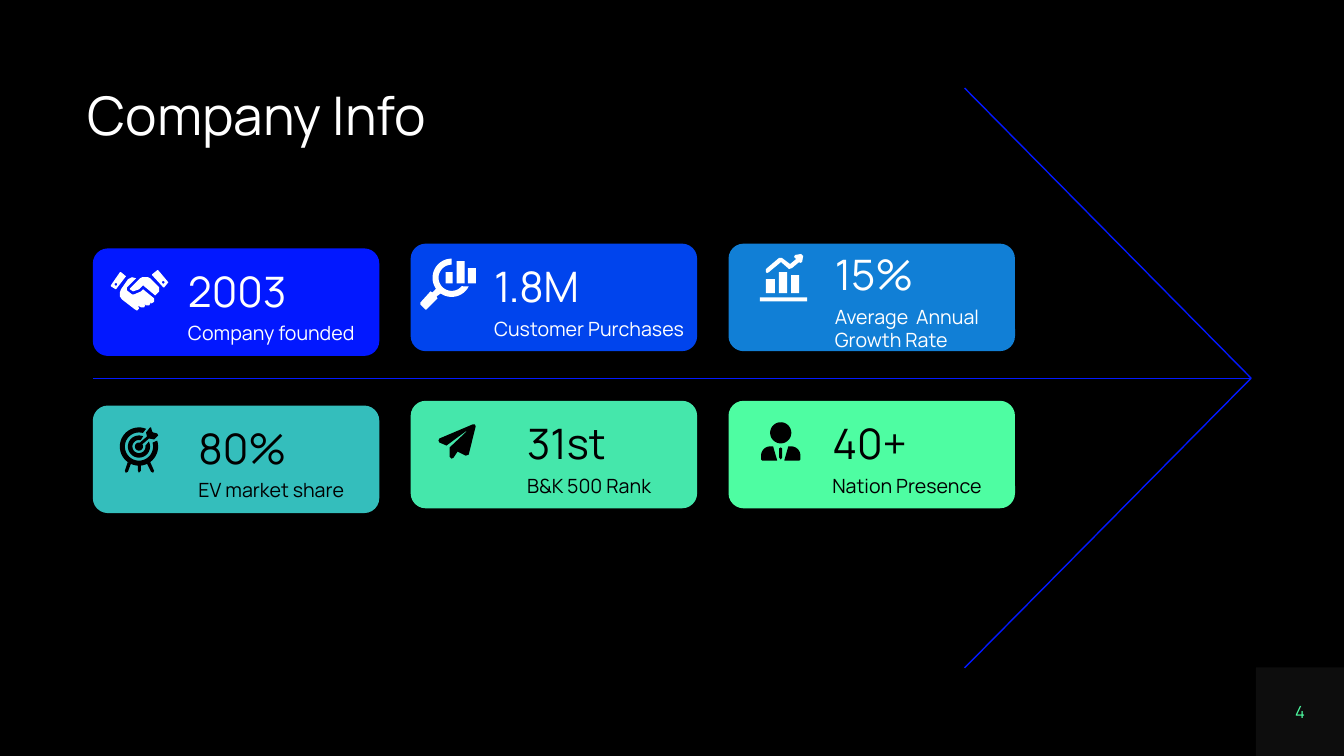
import math

from lxml import etree
from pptx import Presentation
from pptx.dml.color import RGBColor
from pptx.enum.shapes import MSO_CONNECTOR, MSO_SHAPE
from pptx.enum.text import MSO_ANCHOR, MSO_AUTO_SIZE, PP_ALIGN
from pptx.oxml.ns import qn
from pptx.util import Cm, Pt

RECTANGLE = MSO_SHAPE.RECTANGLE
ROUNDED = MSO_SHAPE.ROUNDED_RECTANGLE
STRAIGHT = MSO_CONNECTOR.STRAIGHT
TOP, MIDDLE = MSO_ANCHOR.TOP, MSO_ANCHOR.MIDDLE
LEFT, CENTER = PP_ALIGN.LEFT, PP_ALIGN.CENTER
NO_AUTOFIT = MSO_AUTO_SIZE.NONE


class Theme:
    font = "Manrope"
    black = RGBColor.from_string("000000")
    white = RGBColor.from_string("FFFFFF")
    gray = RGBColor.from_string("808080")
    blue = RGBColor.from_string("0218FF")
    mint = RGBColor.from_string("4EFDA2")
    cards = [RGBColor.from_string(code) for code in
             ("0218FF", "0044ED", "117FD6", "34BEBC", "45E7AB", "4EFDA2")]
    title_size = Pt(38)
    figure_size = Pt(30)
    label_size = Pt(14)
    number_size = Pt(12)


ICON_UNIT = Cm(2.54) / 100


def arc(center_x, center_y, radius, start=0, end=360):
    """Return points along an arc; degrees run clockwise from the right."""
    steps = max(6, round(abs(end - start) / 8))
    angles = [math.radians(start + (end - start) * step / steps)
              for step in range(steps + 1)]
    return [(center_x + radius * math.cos(angle),
             center_y + radius * math.sin(angle)) for angle in angles]


def add_icon(left, top, color, outlines, bars=()):
    """Draw closed outlines and (left, top, right, bottom) bars as one shape."""
    contours = outlines + [[(x1, y1), (x2, y1), (x2, y2), (x1, y2)]
                           for x1, y1, x2, y2 in bars]
    builder = None
    for contour in contours:
        points = [(x * ICON_UNIT, y * ICON_UNIT) for x, y in contour]
        if builder is None:
            builder = slide.shapes.build_freeform(*points[0], scale=1.0)
        else:
            builder.move_to(*points[0])
        builder.add_line_segments(points[1:], close=True)
    icon = builder.convert_to_shape(Cm(left), Cm(top))
    icon.shadow.inherit = False
    icon.fill.solid()
    icon.fill.fore_color.rgb = color
    icon.line.fill.background()


presentation = Presentation()
presentation.slide_width = Cm(33.87)
presentation.slide_height = Cm(19.05)
slide = presentation.slides.add_slide(presentation.slide_layouts[5])
slide.background.fill.solid()
slide.background.fill.fore_color.rgb = Theme.black

# Corner tile and slide number
tile = slide.shapes.add_shape(RECTANGLE, Cm(31.65), Cm(16.82), Cm(2.22), Cm(2.23))
tile.shadow.inherit = False
tile.fill.solid()
tile.fill.fore_color.rgb = Theme.gray
tile.line.fill.background()
tile_color = tile._element.spPr.find(".//" + qn("a:srgbClr"))
etree.SubElement(tile_color, qn("a:alpha")).set("val", "10000")

number = slide.shapes.add_textbox(Cm(32.46), Cm(17.68), Cm(0.61), Cm(0.51))

# Title
title = slide.shapes.title
title.left, title.top, title.width, title.height = Cm(2.21), Cm(2.26), Cm(29.44), Cm(1.47)

for box, text, size, color, alignment, anchor in (
    (title, "Company Info", Theme.title_size, Theme.white, LEFT, TOP),
    (number, "4", Theme.number_size, Theme.mint, CENTER, MIDDLE),
):
    frame = box.text_frame
    frame.text = text
    frame.auto_size = NO_AUTOFIT
    frame.word_wrap = box is title
    frame.vertical_anchor = anchor
    frame.margin_left = frame.margin_top = frame.margin_right = frame.margin_bottom = 0
    paragraph = frame.paragraphs[0]
    paragraph.alignment = alignment
    font = paragraph.runs[0].font
    font.name, font.size, font.color.rgb = Theme.font, size, color
title.text_frame.paragraphs[0].line_spacing = 0.9

# Large arrow behind the cards
shaft = slide.shapes.add_connector(STRAIGHT, Cm(2.34), Cm(9.53), Cm(31.53), Cm(9.53))
builder = slide.shapes.build_freeform(Cm(24.31), Cm(2.22))
builder.add_line_segments([(Cm(31.53), Cm(9.53)), (Cm(24.31), Cm(16.83))], close=False)
head = builder.convert_to_shape()
head.shadow.inherit = False
head.fill.background()
for stroke in (shaft, head):
    stroke.line.color.rgb = Theme.blue
    stroke.line.width = Pt(1)
etree.SubElement(shaft._element.spPr, qn("a:effectLst"))

# Cards, three to a row; the first column sits slightly lower
facts = [
    ("2003", "Company founded"),
    ("1.8M", "Customer Purchases"),
    ("15%", "Average  Annual Growth Rate"),
    ("80%", "EV market share"),
    ("31st", "B&K 500 Rank"),
    ("40+", "Nation Presence"),
]
for index, (fact, card_color) in enumerate(zip(facts, Theme.cards)):
    row, column = divmod(index, 3)
    card_top = 6.14 + 3.96 * row + (0.12 if column == 0 else 0)
    card = slide.shapes.add_shape(
        ROUNDED, Cm(2.34 + 8.01 * column), Cm(card_top), Cm(7.22), Cm(2.71))
    card.adjustments[0] = 0.14
    card.shadow.inherit = False
    card.fill.solid()
    card.fill.fore_color.rgb = card_color
    card.line.fill.background()
    frame = card.text_frame
    frame.text = "\n".join(fact)
    frame.word_wrap = True
    frame.vertical_anchor = MIDDLE
    frame.margin_left, frame.margin_top = Cm(1.78), Pt(4)
    frame.margin_right = frame.margin_bottom = 0
    frame._txBody.bodyPr.set("anchorCtr", "1")
    for paragraph, size in zip(frame.paragraphs, (Theme.figure_size, Theme.label_size)):
        paragraph.alignment = LEFT
        font = paragraph.runs[0].font
        font.name, font.size = Theme.font, size
        font.color.rgb = Theme.black if row else Theme.white
    frame.paragraphs[1].space_before = Pt(4)

# Icons, in hundredths of an inch from their own top left corner
handshake = [
    [(58, 12), (48, 0), (47, 0), (42, 4), (42, 5), (53, 17), (54, 17)],
    arc(53, 12, 1.3),
    [(11, 2), (10, 2), (1, 15), (1, 16), (6, 19), (16, 6)],
    arc(6, 14, 1.3),
    [(44, 28), (33, 19), (31, 21), (24, 24), (22, 24), (17, 20), (17, 17), (26, 8),
     (22, 7), (18, 9), (11, 19), (10, 22), (10, 26), (12, 29), (25, 39), (27, 40),
     (29, 38), (28, 35), (31, 37), (34, 37), (35, 35), (34, 33), (36, 35), (39, 35),
     (40, 33), (39, 31), (41, 33), (43, 32), (44, 31)],
    [(49, 17), (40, 8), (38, 7), (32, 7), (30, 8), (20, 18), (20, 19), (23, 21),
     (29, 19), (33, 15), (45, 25), (49, 21)],
]
magnifier = [
    arc(32, 18.5, 13, 40, 270) + arc(32, 18.5, 19, 270, 145)
    + [(13, 33), (11, 32), (1, 43), (1, 45), (6, 50), (7, 50), (18, 39), (17, 37)]
    + arc(32, 18.5, 19, 125, 27),
]
growth_arrow = [
    [(41, 0), (35, 1), (34, 3), (36, 5), (30, 10), (22, 4), (19, 4), (6, 15), (6, 18),
     (7, 19), (9, 18), (21, 8), (29, 15), (32, 14), (39, 8), (40, 9), (42, 8), (43, 2)],
]
target = [
    arc(19, 19, 19, -18, 292) + arc(19, 19, 14, 286, -16),
    arc(19, 19, 11, -27, 292) + arc(19, 19, 6.5, 285, -8),
    arc(19, 19, 4, -30, 270)
    + [(20, 15), (27, 9), (26, 5), (30, 0), (31, 0), (32, 4), (33, 5), (37, 6), (38, 8),
       (34, 12), (29, 11), (22, 17)],
    [(8, 34), (5, 43), (6, 45), (8, 44), (11, 36)],
    [(18, 38), (18, 43), (19, 45), (21, 43), (21, 38)],
    [(30, 34), (34, 43), (33, 45), (31, 44), (27, 36)],
]
paper_plane = [
    [(34, 1), (1, 15), (0, 17), (1, 19), (8, 22), (27, 8), (28, 8), (11, 24), (11, 33),
     (13, 35), (15, 34), (19, 28), (27, 32), (30, 31), (37, 3), (36, 1)],
]
person = [
    arc(19.5, 10.5, 10.5),
    arc(9, 33, 9, 180, 270) + [(12, 24), (16, 38), (1, 38), (0, 37)],
    [(27, 24)] + arc(30, 33, 9, 270, 360) + [(39, 37), (38, 38), (23, 38)],
    [(18, 26), (19.5, 25), (21, 26), (21, 35), (19.5, 37), (18, 35)],
]
add_icon(2.77, 6.81, Theme.white, handshake)
add_icon(10.57, 6.53, Theme.white, magnifier,
         bars=[(26, 13, 33, 24), (37, 2, 45, 24), (48, 9, 56, 24)])
add_icon(19.15, 6.4, Theme.white, growth_arrow,
         bars=[(6, 25, 15, 39), (19, 18, 27, 39), (31, 21, 39, 39), (0, 43, 47, 47)])
add_icon(3.02, 10.77, Theme.black, target)
add_icon(11.05, 10.67, Theme.black, paper_plane)
add_icon(19.18, 10.64, Theme.black, person)

presentation.save("out.pptx")
